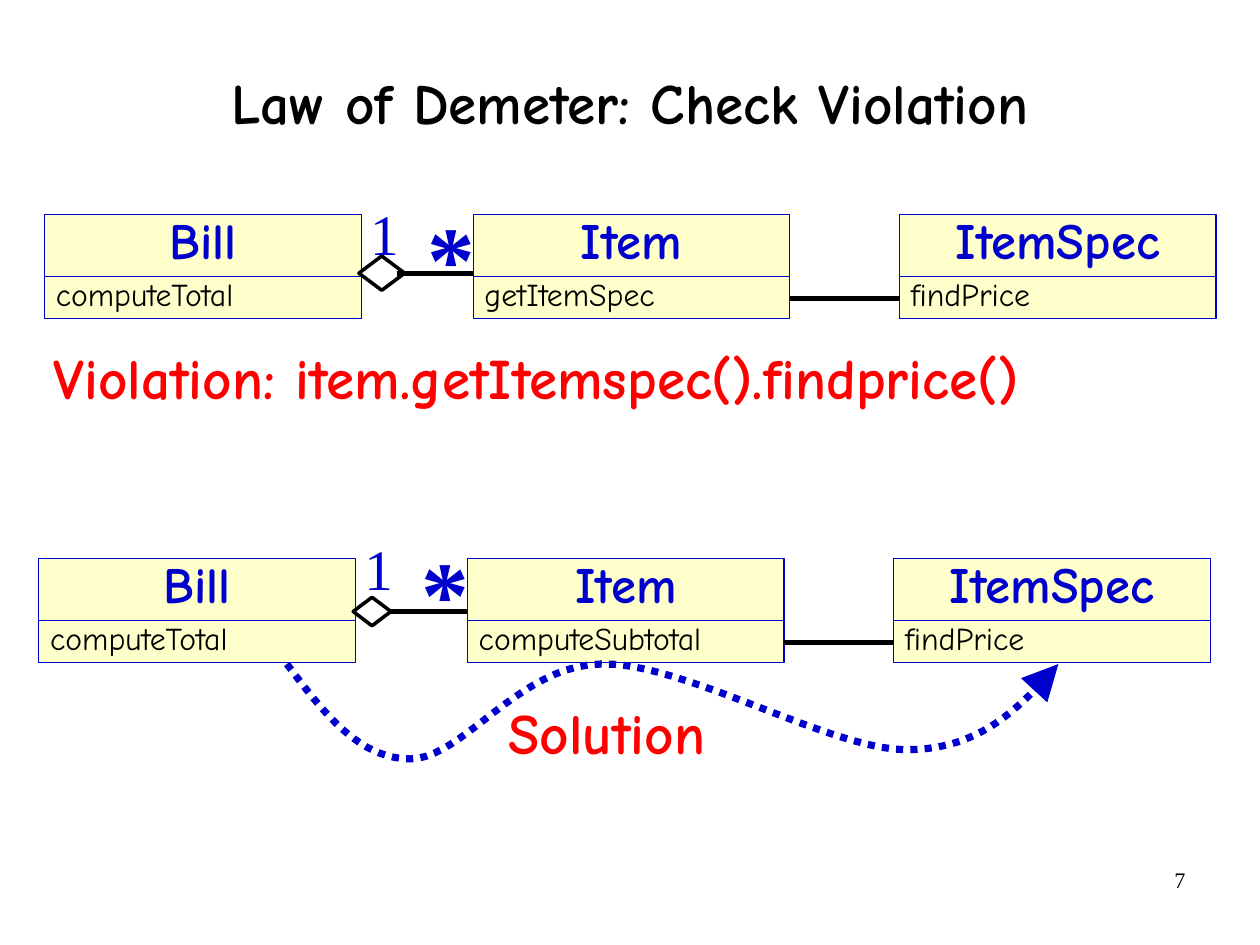
"""Build the Law of Demeter slide with two class diagrams."""
from pptx import Presentation
from pptx.dml.color import RGBColor
from pptx.enum.dml import MSO_LINE
from pptx.enum.shapes import MSO_CONNECTOR, MSO_SHAPE
from pptx.enum.text import MSO_ANCHOR, PP_ALIGN
from pptx.oxml.ns import qn
from pptx.util import Inches, Pt
from lxml.etree import SubElement

HUES = {"ink": "000000", "blue": "0000CC", "red": "FF0000", "cream": "FFFFCC"}
HUES = {name: RGBColor.from_string(code) for name, code in HUES.items()}
COMIC, TIMES = "Comic Neue", "Times New Roman"


def write(shape, text, size, hue, font=COMIC, bold=False, align=PP_ALIGN.LEFT, space=0.8):
    frame = shape.text_frame
    frame.text = text
    frame.word_wrap = True
    frame.vertical_anchor = MSO_ANCHOR.TOP
    line = frame.paragraphs[0]
    line.alignment = align
    line.line_spacing = space
    face = line.runs[0].font
    face.name, face.size, face.bold = font, Pt(size), bold
    face.color.rgb = HUES[hue]


def label(shapes, place, *style, **extra):
    box = shapes.add_textbox(*map(Inches, place))
    write(box, *style, **extra)


deck = Presentation()
deck.slide_width, deck.slide_height = Inches(28 / 2.54), Inches(21 / 2.54)
slide = deck.slides.add_slide(deck.slide_layouts[5])

title = slide.shapes.title
title.left, title.top, title.width, title.height = map(Inches, (0.81, 0.57, 9.4, 0.73))
write(title, "Law of Demeter: Check Violation", 36, "ink", bold=True,
      align=PP_ALIGN.CENTER, space=0.88)
frame = title.text_frame
frame.vertical_anchor = MSO_ANCHOR.MIDDLE
frame.margin_left = frame.margin_right = frame.margin_top = frame.margin_bottom = 0
label(slide.shapes, (7.9, 7.53, 2.57, 0.57), "7", 14, "ink", TIMES,
      align=PP_ALIGN.RIGHT, space=1)

WIDE, HEAD, BODY = 2.77, 0.54, 0.37
STEPS = (0, 3.75, 7.48)
ROWS = (
    (0.39, 1.88, "getItemSpec", 0.51, 0.4, 0.3, 0),
    (0.34, 4.89, "computeSubtotal", 0.46, 0.33, 0.25, 0.08),
)
for left, top, method, link, wide, high, lift in ROWS:
    shapes = slide.shapes.add_group_shape().shapes
    parts = zip(STEPS, ("Bill", "Item", "ItemSpec"), ("computeTotal", method, "findPrice"))
    for step, name, call in parts:
        cells = (
            (0, HEAD, name, 32, "blue", True, PP_ALIGN.CENTER),
            (HEAD, BODY, call, 20, "ink", False, PP_ALIGN.LEFT),
        )
        for drop, tall, text, size, hue, bold, align in cells:
            box = shapes.add_shape(MSO_SHAPE.RECTANGLE, Inches(left + step),
                                   Inches(top + drop), Inches(WIDE), Inches(tall))
            box.shadow.inherit = False
            box.fill.solid()
            box.fill.fore_color.rgb = HUES["cream"]
            box.line.color.rgb = HUES["blue"]
            box.line.width = Pt(0.75)
            write(box, text, size, hue, bold=bold, align=align)

    for start, end, drop in ((3.08, STEPS[1], link), (STEPS[1] + WIDE, STEPS[2], 0.73)):
        line = shapes.add_connector(MSO_CONNECTOR.STRAIGHT, Inches(left + start),
                                    Inches(top + drop), Inches(left + end), Inches(top + drop))
        line.line.color.rgb = HUES["ink"]
        line.line.width = Pt(3)
        SubElement(line._element.spPr, qn("a:effectLst"))

    gem = shapes.add_shape(MSO_SHAPE.DIAMOND, Inches(left + 2.75),
                           Inches(top + link - high / 2), Inches(wide), Inches(high))
    gem.shadow.inherit = False
    gem.fill.background()
    gem.line.color.rgb = HUES["ink"]
    gem.line.width = Pt(2.25)

    label(shapes, (left + 2.75, top - 0.08 - lift, 0.42, 0.59), "1", 36, "blue", TIMES)
    label(shapes, (left + 3.25, top - lift, 0.42, 0.91), "*", 60, "blue", TIMES, bold=True)

KNOTS = (
    (2.51, 5.81), (2.82, 6.22), (3.13, 6.64), (3.59, 6.64),
    (4.05, 6.64), (4.54, 5.82), (5.26, 5.81),
    (5.98, 5.79), (7.26, 6.56), (7.93, 6.56),
    (8.59, 6.56), (8.93, 6.18), (9.26, 5.81),
)
COUNT = 20
points = []
for first in range(0, len(KNOTS) - 1, 3):
    for tick in range(1, COUNT + 1):
        t = tick / COUNT
        mix = ((1 - t) ** 3, 3 * t * (1 - t) ** 2, 3 * t ** 2 * (1 - t), t ** 3)
        points.append([Inches(sum(m * knot[axis] for m, knot in zip(mix, KNOTS[first:])))
                       for axis in (0, 1)])
pen = slide.shapes.build_freeform(*map(Inches, KNOTS[0]))
pen.add_line_segments(points, close=False)
curve = pen.convert_to_shape()
curve.shadow.inherit = False
curve.fill.background()
curve.line.color.rgb = HUES["blue"]
curve.line.width = Pt(4.5)
curve.line.dash_style = MSO_LINE.ROUND_DOT
SubElement(curve.line._get_or_add_ln(), qn("a:tailEnd"), type="triangle", w="lg", len="lg")

label(slide.shapes, (4.35, 6.17, 6.2, 0.59), "Solution", 36, "red", bold=True)
label(slide.shapes, (0.37, 3.06, 10.25, 0.59), "Violation: item.getItemspec().findprice()",
      36, "red", bold=True)

deck.save("out.pptx")
